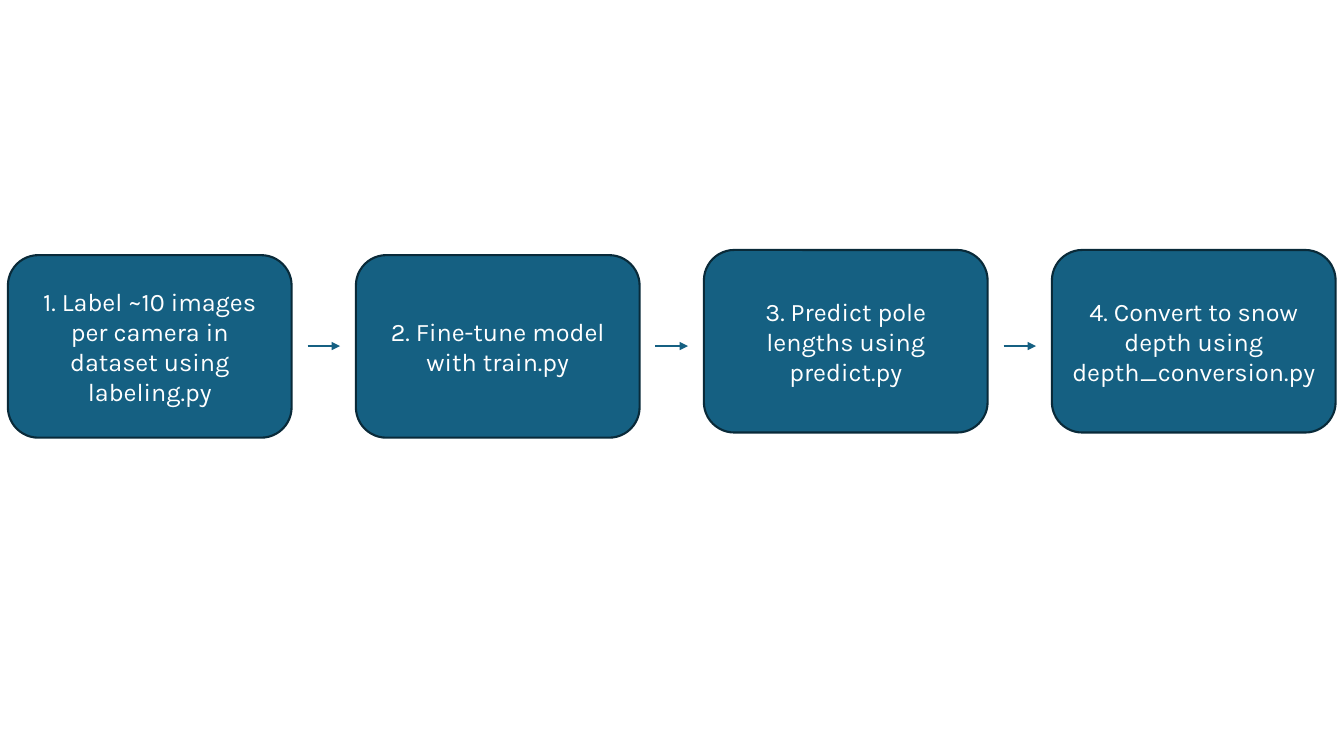
import pptx
import pptx.util
import pptx.dml.color
import pptx.enum.shapes
import pptx.enum.text
import pptx.oxml.ns
import lxml.etree

Cm = pptx.util.Cm
Pt = pptx.util.Pt


class Deck:
    hues = {"fill": "156082", "edge": "092A39", "text": "FFFFFF"}
    font = "Karla"
    size = 18
    weight = 1.5

    def __init__(self, slide):
        self.slide = slide

    def hue(self, name):
        return pptx.dml.color.RGBColor.from_string(self.hues[name])

    def stroke(self, line, name):
        line.color.rgb = self.hue(name)
        line.width = Pt(self.weight)

    def step(self, left, top, width, height, text):
        box = self.slide.shapes.add_shape(
            pptx.enum.shapes.MSO_SHAPE.ROUNDED_RECTANGLE,
            Cm(left), Cm(top), Cm(width), Cm(height))
        box.shadow.inherit = False
        box.fill.solid()
        box.fill.fore_color.rgb = self.hue("fill")
        self.stroke(box.line, "edge")
        frame = box.text_frame
        frame.word_wrap = True
        frame.vertical_anchor = pptx.enum.text.MSO_ANCHOR.MIDDLE
        para = frame.paragraphs[0]
        para.alignment = pptx.enum.text.PP_ALIGN.CENTER
        run = para.add_run()
        run.text = text
        run.font.name = self.font
        run.font.size = Pt(self.size)
        run.font.color.rgb = self.hue("text")

    def arrow(self, start, end, y):
        link = self.slide.shapes.add_connector(
            pptx.enum.shapes.MSO_CONNECTOR.STRAIGHT,
            Cm(start), Cm(y), Cm(end), Cm(y))
        self.stroke(link.line, "fill")
        qn = pptx.oxml.ns.qn
        lxml.etree.SubElement(link.line._get_or_add_ln(), qn("a:tailEnd"), type="triangle")
        lxml.etree.SubElement(link._element.spPr, qn("a:effectLst"))


def main():
    show = pptx.Presentation()
    show.slide_width = Cm(33.87)
    show.slide_height = Cm(19.05)
    deck = Deck(show.slides.add_slide(show.slide_layouts[6]))

    left, pitch, width, height = 0.2, 8.77, 7.15, 4.6
    gap = 0.4
    steps = [
        (6.43, "1. Label ~10 images per camera in dataset using labeling.py"),
        (6.43, "2. Fine-tune model with train.py"),
        (6.3, "3. Predict pole lengths using predict.py"),
        (6.3, "4. Convert to snow depth using depth_conversion.py"),
    ]
    for i, (top, text) in enumerate(steps):
        deck.step(left + i * pitch, top, width, height, text)
    for i in range(1, len(steps)):
        edge = left + i * pitch
        deck.arrow(edge - pitch + width + gap, edge - gap, 8.72)

    show.save("out.pptx")


if __name__ == "__main__":
    main()
